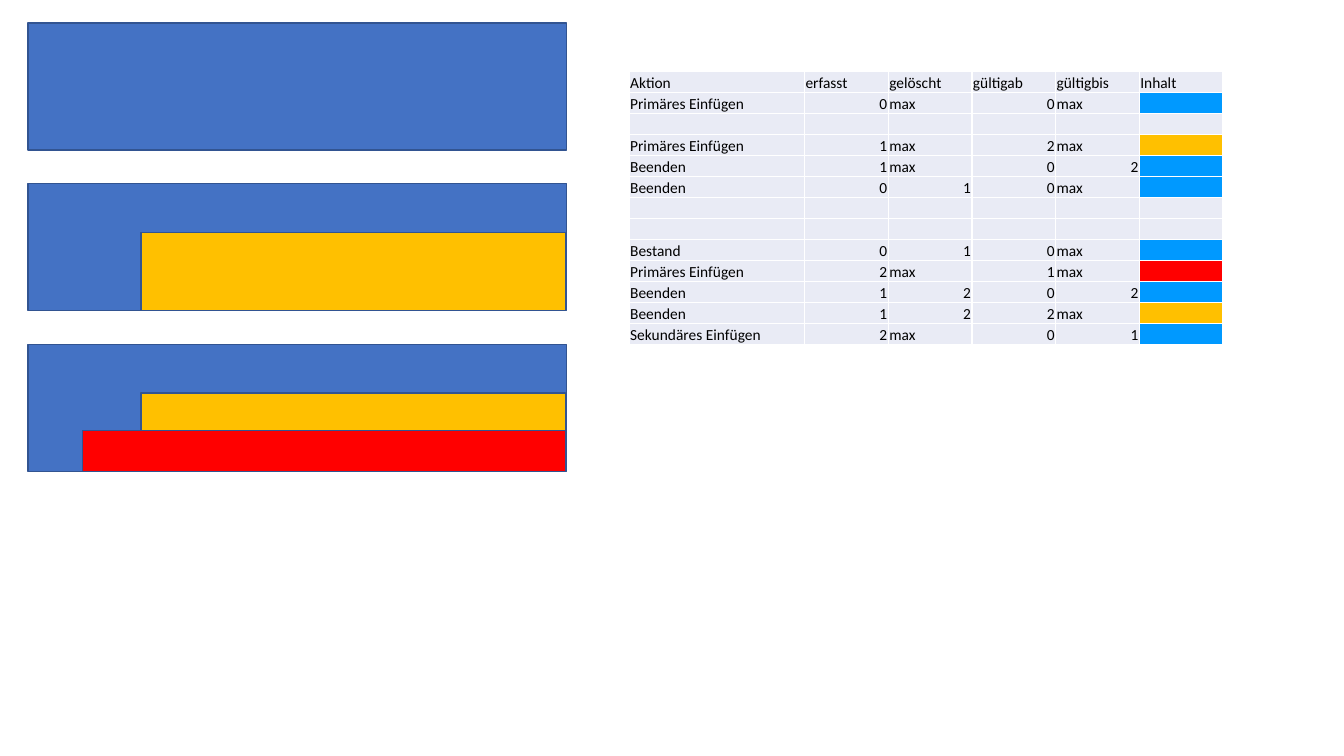
from dataclasses import dataclass
from typing import Optional

from lxml import etree
from pptx import Presentation
from pptx.dml.color import RGBColor
from pptx.enum import shapes, text
from pptx.oxml import ns
from pptx.util import Inches, Pt

BLUE = RGBColor(0x44, 0x72, 0xC4)
OUTLINE = RGBColor(0x32, 0x54, 0x91)
AMBER = RGBColor(0xFF, 0xC0, 0x00)
RED = RGBColor(0xFF, 0x00, 0x00)
SKY = RGBColor(0x00, 0x99, 0xFF)
PALE = RGBColor(0xE9, 0xEB, 0xF5)
BLACK = RGBColor(0x00, 0x00, 0x00)
WHITE = RGBColor(0xFF, 0xFF, 0xFF)

FONT_FORMAT = {"name": "Calibri", "size": Pt(11), "bold": False}
CELL_FORMAT = {
    "margin_left": Inches(0.01),
    "margin_top": Inches(0.01),
    "margin_right": Inches(0.01),
    "margin_bottom": 0,
    "vertical_anchor": text.MSO_ANCHOR.BOTTOM,
}


@dataclass(frozen=True)
class Period:
    left: float
    top: float
    width: float
    height: float
    color: RGBColor


@dataclass(frozen=True)
class Entry:
    labels: str = ""
    content: Optional[RGBColor] = None


PERIODS = [
    *(Period(0.28, top, 5.34, 1.26, BLUE) for top in (3.42, 1.82, 0.23)),
    Period(1.4, 2.31, 4.21, 0.77, AMBER),
    Period(1.4, 3.9, 4.21, 0.77, AMBER),
    Period(0.82, 4.27, 4.79, 0.41, RED),
]

ENTRIES = [
    Entry("Aktion|erfasst|gelöscht|gültigab|gültigbis|Inhalt"),
    Entry("Primäres Einfügen|0|max|0|max|", SKY),
    Entry("|||||"),
    Entry("Primäres Einfügen|1|max|2|max|", AMBER),
    Entry("Beenden|1|max|0|2|", SKY),
    Entry("Beenden|0|1|0|max|", SKY),
    Entry("|||||"),
    Entry("|||||"),
    Entry("Bestand|0|1|0|max|", SKY),
    Entry("Primäres Einfügen|2|max|1|max|", RED),
    Entry("Beenden|1|2|0|2|", SKY),
    Entry("Beenden|1|2|2|max|", AMBER),
    Entry("Sekundäres Einfügen|2|max|0|1|", SKY),
]
COLUMN_WIDTHS = [1.74] + [0.83] * 5


def apply_format(target, values: dict) -> None:
    for name, value in values.items():
        setattr(target, name, value)


def draw_period(slide, period: Period) -> None:
    bar = slide.shapes.add_shape(
        shapes.MSO_SHAPE.RECTANGLE,
        *map(Inches, (period.left, period.top, period.width, period.height)),
    )
    bar.shadow.inherit = False
    bar.fill.solid()
    bar.fill.fore_color.rgb = period.color
    bar.line.color.rgb = OUTLINE
    bar.line.width = Pt(1)


def add_borders(cell) -> None:
    properties = cell._tc.get_or_add_tcPr()
    for side in ("lnL", "lnR", "lnT", "lnB"):
        border = etree.SubElement(properties, ns.qn(f"a:{side}"), w=str(Pt(1)))
        fill = etree.SubElement(border, ns.qn("a:solidFill"))
        etree.SubElement(fill, ns.qn("a:srgbClr"), val=str(WHITE))


def fill_cell(cell, label: str, color: RGBColor) -> None:
    apply_format(cell, CELL_FORMAT)
    add_borders(cell)
    cell.fill.solid()
    cell.fill.fore_color.rgb = color
    paragraph = cell.text_frame.paragraphs[0]
    if not label:
        etree.SubElement(paragraph._p, ns.qn("a:endParaRPr"), sz="1100")
        return
    paragraph.alignment = text.PP_ALIGN.RIGHT if label.isdigit() else text.PP_ALIGN.LEFT
    run = paragraph.add_run()
    run.text = label
    apply_format(run.font, FONT_FORMAT)
    run.font.color.rgb = BLACK


def draw_history(slide, entries: list[Entry]) -> None:
    history = slide.shapes.add_table(
        len(entries), len(COLUMN_WIDTHS),
        Inches(6.24), Inches(0.71), Inches(sum(COLUMN_WIDTHS)), Inches(2.71),
    ).table
    apply_format(history, {"first_row": False, "horz_banding": False})
    for column, width in zip(history.columns, COLUMN_WIDTHS):
        column.width = Inches(width)
    for row, entry in zip(history.rows, entries):
        labels = entry.labels.split("|")
        colors = [PALE] * (len(labels) - 1) + [entry.content or PALE]
        for cell, label, color in zip(row.cells, labels, colors):
            fill_cell(cell, label, color)


def main() -> None:
    presentation = Presentation()
    presentation.slide_width = Inches(13.33)
    presentation.slide_height = Inches(7.5)
    slide = presentation.slides.add_slide(presentation.slide_layouts[6])
    for period in PERIODS:
        draw_period(slide, period)
    draw_history(slide, ENTRIES)
    presentation.save("out.pptx")


if __name__ == "__main__":
    main()
